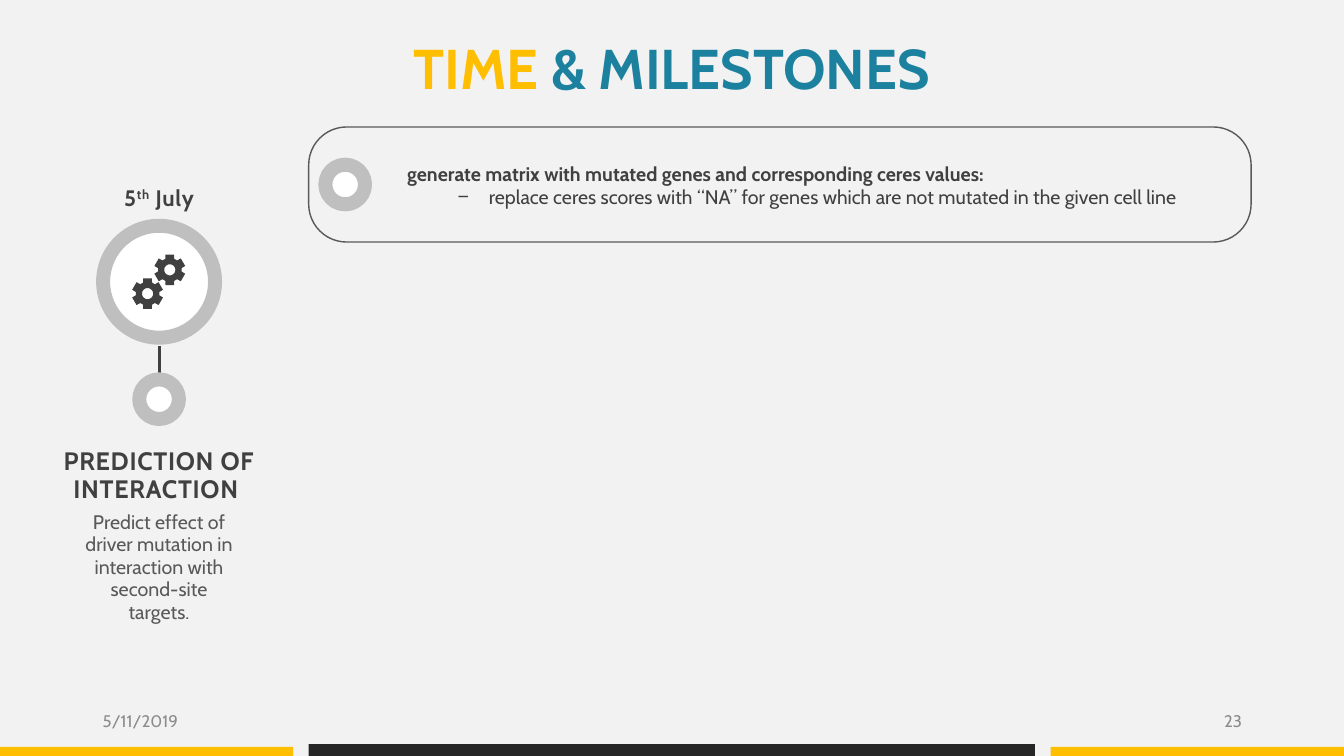
from dataclasses import dataclass
from math import cos, radians, sin

from lxml import etree
from pptx import Presentation
from pptx import util as u
from pptx.dml.color import RGBColor
from pptx.enum import shapes, text
from pptx.oxml import ns

CENTER, LEFT, RIGHT = text.PP_ALIGN.CENTER, text.PP_ALIGN.LEFT, text.PP_ALIGN.RIGHT


@dataclass(frozen=True)
class Theme:
    font: str = "Cabin"
    background: str = "F2F2F2"
    accent: str = "FFBE00"
    heading: str = "1C819E"
    bar: str = "262626"
    dark: str = "404040"
    body: str = "595959"
    footer: str = "8C8C8C"
    ring: str = "BFBFBF"
    white: str = "FFFFFF"
    title_size: int = 40
    name_size: int = 18
    date_size: int = 16
    body_size: int = 14
    footer_size: int = 12


def add_text(paragraph, content, *, font, size, color, bold=False, spacing=None, raised=False):
    """Add a run of formatted text to a paragraph."""
    run = paragraph.add_run()
    run.text = content
    run.font.name = font
    run.font.size = u.Pt(size)
    run.font.bold = bold
    run.font.color.rgb = RGBColor.from_string(color)
    properties = run.font._element
    if spacing:
        properties.set("spc", str(int(spacing * 100)))
    if raised:
        properties.set("baseline", "30000")


class SlideBuilder:
    def __init__(self, slide, theme):
        self.slide = slide
        self.theme = theme
        slide.background.fill.solid()
        slide.background.fill.fore_color.rgb = RGBColor.from_string(theme.background)

    def frame(self, shape, box, anchor=text.MSO_ANCHOR.TOP, margins=(0, 0)):
        """Place a text-bearing shape and set up its text frame."""
        shape.left, shape.top, shape.width, shape.height = map(u.Cm, box)
        frame = shape.text_frame
        frame.word_wrap = True
        frame.auto_size = text.MSO_AUTO_SIZE.NONE
        frame.vertical_anchor = anchor
        frame.margin_left = frame.margin_right = u.Cm(margins[0])
        frame.margin_top = frame.margin_bottom = u.Cm(margins[1])
        return frame

    def title(self, box, parts):
        paragraph = self.frame(self.slide.shapes.title, box).paragraphs[0]
        paragraph.alignment = CENTER
        for content, color in parts:
            add_text(paragraph, content, font=self.theme.font, size=self.theme.title_size,
                     color=color, bold=True)

    def task(self, box, heading, items, indent, hanging):
        """Fill the body placeholder with a bold heading and dashed items."""
        frame = self.frame(self.slide.placeholders[1], box, text.MSO_ANCHOR.MIDDLE)
        for index, content in enumerate([heading, *items]):
            paragraph = frame.add_paragraph() if index else frame.paragraphs[0]
            paragraph.level = min(index, 1)
            paragraph.alignment = LEFT
            paragraph.space_before = u.Pt(0)
            properties = paragraph._p.get_or_add_pPr()
            properties.set("marL", str(u.Cm(indent) if index else 0))
            properties.set("indent", str(-u.Cm(hanging) if index else 0))
            if index:
                etree.SubElement(properties, ns.qn("a:buChar")).set("char", "−")
            else:
                etree.SubElement(properties, ns.qn("a:buNone"))
            add_text(paragraph, content, font=self.theme.font, size=self.theme.body_size,
                     color=self.theme.dark, bold=not index)

    def label(self, box, content, *, align=CENTER, line=None, raised=(), **style):
        """Add a text box from one string or a list of run strings."""
        shape = self.slide.shapes.add_textbox(0, 0, 0, 0)
        paragraph = self.frame(shape, box).paragraphs[0]
        paragraph.alignment = align
        if line:
            paragraph.line_spacing = u.Pt(line)
        for part in [content] if isinstance(content, str) else content:
            add_text(paragraph, part, font=self.theme.font, raised=part in raised, **style)
        return shape

    def footer(self, box, content, align):
        shape = self.label(box, content, align=align, size=self.theme.footer_size,
                           color=self.theme.footer)
        self.frame(shape, box, text.MSO_ANCHOR.MIDDLE, margins=(0.25, 0.13))

    def paint(self, shape, fill=None, line=None, width=1):
        shape.shadow.inherit = False
        if fill:
            shape.fill.solid()
            shape.fill.fore_color.rgb = RGBColor.from_string(fill)
        else:
            shape.fill.background()
        if line:
            shape.line.color.rgb = RGBColor.from_string(line)
            shape.line.width = u.Pt(width)
        else:
            shape.line.fill.background()

    def shape(self, kind, box, **look):
        shape = self.slide.shapes.add_shape(kind, *map(u.Cm, box))
        self.paint(shape, **look)
        return shape

    def ring(self, x, y, diameter):
        box = (x - diameter / 2, y - diameter / 2, diameter, diameter)
        self.shape(shapes.MSO_SHAPE.OVAL, box, fill=self.theme.white,
                   line=self.theme.ring, width=10)

    def connector(self, start, end):
        line = self.slide.shapes.add_connector(
            shapes.MSO_CONNECTOR.STRAIGHT, *map(u.Cm, (*start, *end)))
        line.line.color.rgb = RGBColor.from_string(self.theme.dark)
        line.line.width = u.Pt(2)
        etree.SubElement(line._element.spPr, ns.qn("a:effectLst"))

    def gear(self, x, y, tip=0.4, root=0.3, hole=0.14):
        """Draw a six-toothed gear with a round hole."""
        def point(radius, degrees):
            angle = radians(degrees)
            return u.Cm(x + radius * cos(angle)), u.Cm(y + radius * sin(angle))

        profile = ((-22, root), (-16, tip), (16, tip), (22, root))
        teeth = [point(radius, middle + offset)
                 for middle in range(30, 390, 60) for offset, radius in profile]
        opening = [point(hole, degrees) for degrees in range(360, 0, -10)]
        builder = self.slide.shapes.build_freeform(*teeth[0])
        builder.add_line_segments(teeth[1:], close=True)
        builder.move_to(*opening[0])
        builder.add_line_segments(opening[1:], close=True)
        self.paint(builder.convert_to_shape(), fill=self.theme.dark)


def main():
    theme = Theme()
    presentation = Presentation()
    presentation.slide_width, presentation.slide_height = u.Cm(33.87), u.Cm(19.05)
    slide = presentation.slides.add_slide(presentation.slide_layouts[1])
    page = SlideBuilder(slide, theme)

    # Title
    page.title((1.98, 0.84, 29.9, 1.7), [("TIME ", theme.accent), ("& MILESTONES", theme.heading)])

    # Bottom bars
    for left, top, width, color in ((0, 18.82, 7.39, theme.accent),
                                    (7.78, 18.75, 18.3, theme.bar),
                                    (26.48, 18.82, 7.39, theme.accent)):
        page.shape(shapes.MSO_SHAPE.RECTANGLE, (left, top, width, 19.05 - top), fill=color)

    # Milestone
    axis = 4.01
    page.connector((axis, 8.71), (axis, 9.73))
    page.ring(axis, 10.06, 1)
    page.ring(axis, 7.1, 2.82)
    page.gear(4.28, 6.8)
    page.gear(3.72, 7.4)
    page.label((2.62, 4.6, 2.78, 0.66), ["5", "th", " July"], line=20, raised=("th",),
               size=theme.date_size, color=theme.dark, bold=True, spacing=0.5)
    page.label((1, 11.28, 6.02, 1.42), "PREDICTION OF INTERACTION ", line=20,
               size=theme.name_size, color=theme.dark, bold=True, spacing=0.5)
    page.label((2.03, 12.88, 3.96, 2.84),
               "Predict effect of driver mutation in interaction with second-site targets.",
               line=16, size=theme.body_size, color=theme.body)

    # Task panel
    panel = page.shape(shapes.MSO_SHAPE.ROUNDED_RECTANGLE, (7.78, 3.2, 23.75, 2.9),
                       line=theme.body)
    panel.adjustments[0] = 0.33
    page.task((10.26, 3.76, 19.61, 1.8),
              "generate matrix with mutated genes and corresponding ceres values:",
              ["replace ceres scores with “NA” for genes which are not mutated "
               "in the given cell line"], indent=2.06, hanging=0.79)
    page.ring(8.7, 4.65, 1)

    # Footer
    page.footer((2.34, 17.65, 7.62, 1.02), "5/11/2019", LEFT)
    page.footer((23.93, 17.65, 7.62, 1.02), "23", RIGHT)

    presentation.save("out.pptx")


if __name__ == "__main__":
    main()
